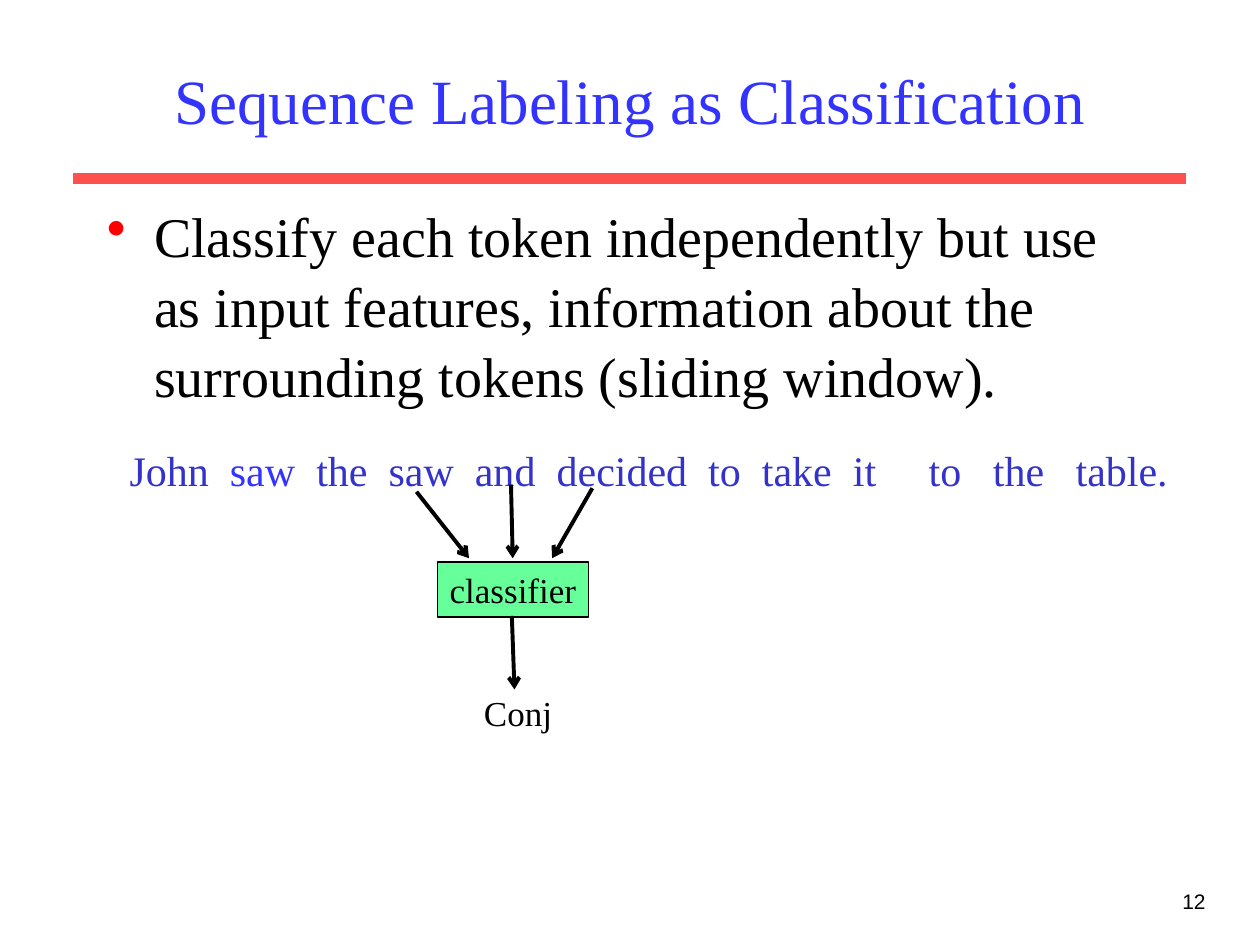
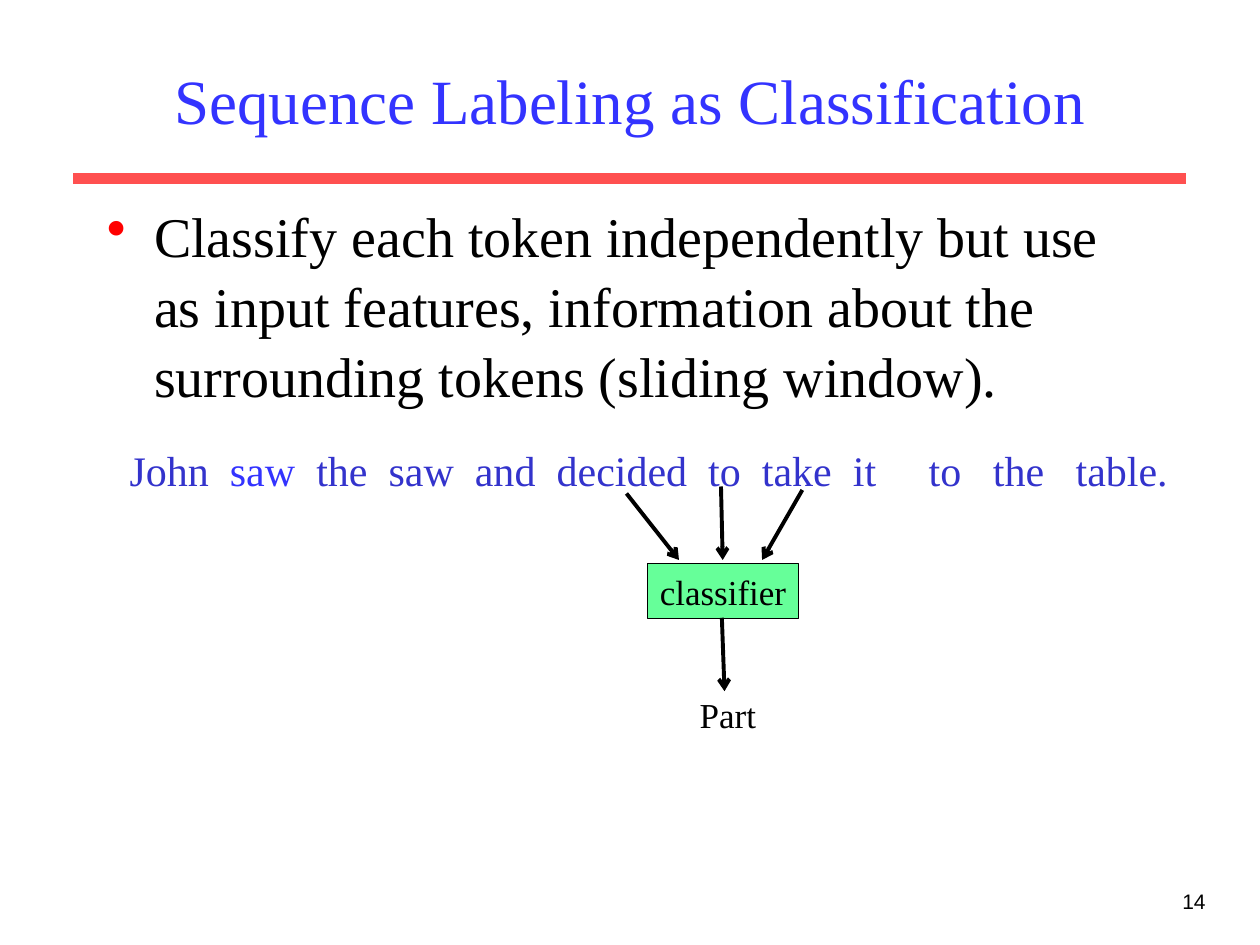
from lxml import etree
from pptx import Presentation
from pptx.dml import color
from pptx.enum import shapes, text
from pptx.oxml import ns
from pptx.util import Pt

SERIF, SANS = "Times New Roman", "Arial"
BLACK, TITLE_BLUE, TOKEN_BLUE = "000000", "3333FF", "3333CC"
RULE_RED, BULLET_RED, CLASSIFIER_GREEN = "FF5050", "FF0000", "66FF99"

TITLE = "Sequence Labeling as Classification"
POINT = ("Classify each token independently but use as input features, "
         "information about the surrounding tokens (sliding window).")
TOKENS = "John saw the saw and decided to take it to the table.".split()
TOKEN_STOPS = [57.3, 106.7, 148, 197.3, 244, 330.6, 361.3, 413.3, 456.6, 493.3, 540.6]
FOCUS_TOKEN = 1

# Arrow ends measured from the classifier's top left corner
ARROWS = [((-12, -40), (18, -2)), ((88.5, -42), (65.5, -2)),
          ((42, -44), (43, -2)), ((42.5, 31), (44, 73))]

# Page number, classifier's left and top, predicted tag
WINDOWS = [("12", 250, 321, "Conj"), ("14", 370, 322, "Part")]


def rgb(hex_code):
    return color.RGBColor.from_string(hex_code)


def style(font, size, hex_code, name=SERIF):
    font.name, font.size = name, Pt(size)
    font.color.rgb = rgb(hex_code)


def add_xml(parent, tag, **attributes):
    return etree.SubElement(parent, ns.qn(tag), attributes)


def add_label(slide, box, words, size, align=text.PP_ALIGN.LEFT, name=SERIF, wrap=True):
    frame = slide.shapes.add_textbox(*map(Pt, box)).text_frame
    frame.word_wrap = wrap
    label = frame.paragraphs[0]
    label.text, label.alignment = words, align
    style(label.font, size, BLACK, name)
    return label


def add_line(slide, start, end, hex_code, width):
    line = slide.shapes.add_connector(
        shapes.MSO_CONNECTOR.STRAIGHT, *map(Pt, (*start, *end)))
    line.line.color.rgb = rgb(hex_code)
    line.line.width = Pt(width)
    add_xml(line._element.spPr, "a:effectLst")
    return line


def add_arrow(slide, start, end):
    arrow = add_line(slide, start, end, BLACK, 2.25)
    add_xml(arrow.line._get_or_add_ln(), "a:tailEnd", type="arrow")


def add_title(slide):
    title = slide.shapes.title
    title.left, title.top, title.width, title.height = map(Pt, (54, 18, 612, 78))
    title.text_frame.vertical_anchor = text.MSO_ANCHOR.MIDDLE
    heading = title.text_frame.paragraphs[0]
    heading.text, heading.alignment = TITLE, text.PP_ALIGN.CENTER
    style(heading.font, 36, TITLE_BLUE)


def add_bullet_point(slide):
    point = add_label(slide, (54, 110, 612, 367), POINT, 32)
    point.line_spacing = 1.04
    properties = point._p.get_or_add_pPr()
    properties.set("marL", str(Pt(27)))
    properties.set("indent", str(-Pt(27)))
    bullet_color = etree.Element(ns.qn("a:buClr"))
    add_xml(bullet_color, "a:srgbClr", val=BULLET_RED)
    bullet = etree.Element(ns.qn("a:buChar"), char="•")
    properties.find(ns.qn("a:lnSpc")).addnext(bullet_color)
    bullet_color.addnext(bullet)


def add_sentence(slide):
    """Tokens in one line, each at its own tab stop."""
    frame = slide.shapes.add_textbox(*map(Pt, (67, 250.5, 615, 36))).text_frame
    frame.word_wrap = True
    sentence = frame.paragraphs[0]
    stops = add_xml(sentence._p.get_or_add_pPr(), "a:tabLst")
    for stop in TOKEN_STOPS:
        add_xml(stops, "a:tab", pos=str(Pt(stop)), algn="l")
    style(sentence.font, 24, TOKEN_BLUE)
    for index, token in enumerate(TOKENS):
        run = sentence.add_run()
        run.text = "\t" + token if index else token
        if index == FOCUS_TOKEN:
            run.font.color.rgb = rgb(TITLE_BLUE)


def add_classifier(slide, left, top):
    classifier = slide.shapes.add_shape(
        shapes.MSO_SHAPE.RECTANGLE, *map(Pt, (left, top, 86.4, 31.5)))
    classifier.shadow.inherit = False
    classifier.fill.solid()
    classifier.fill.fore_color.rgb = rgb(CLASSIFIER_GREEN)
    classifier.line.color.rgb = rgb(BLACK)
    classifier.line.width = Pt(1)
    classifier.text_frame.word_wrap = False
    name = classifier.text_frame.paragraphs[0]
    name.text, name.alignment = "classifier", text.PP_ALIGN.CENTER
    style(name.font, 20, BLACK)


def add_window(slide, left, top, tag):
    """The classifier with its input and output arrows and the tag it gives."""
    add_classifier(slide, left, top)
    for start, end in ARROWS:
        add_arrow(slide, *[(left + x, top + y) for x, y in (start, end)])
    add_label(slide, (left + 19, top + 70.5, 54, 31.5), tag, 20,
              text.PP_ALIGN.CENTER, wrap=False)


def add_slide(deck, page, left, top, tag):
    slide = deck.slides.add_slide(deck.slide_layouts[5])
    add_line(slide, (42, 102), (678, 102), RULE_RED, 6)
    add_label(slide, (546, 504, 150, 36), page, 12, text.PP_ALIGN.RIGHT, SANS)
    add_title(slide)
    add_bullet_point(slide)
    add_sentence(slide)
    add_window(slide, left, top, tag)


def main():
    deck = Presentation()
    deck.slide_width, deck.slide_height = Pt(720), Pt(540)
    for window in WINDOWS:
        add_slide(deck, *window)
    deck.save("out.pptx")


if __name__ == "__main__":
    main()
